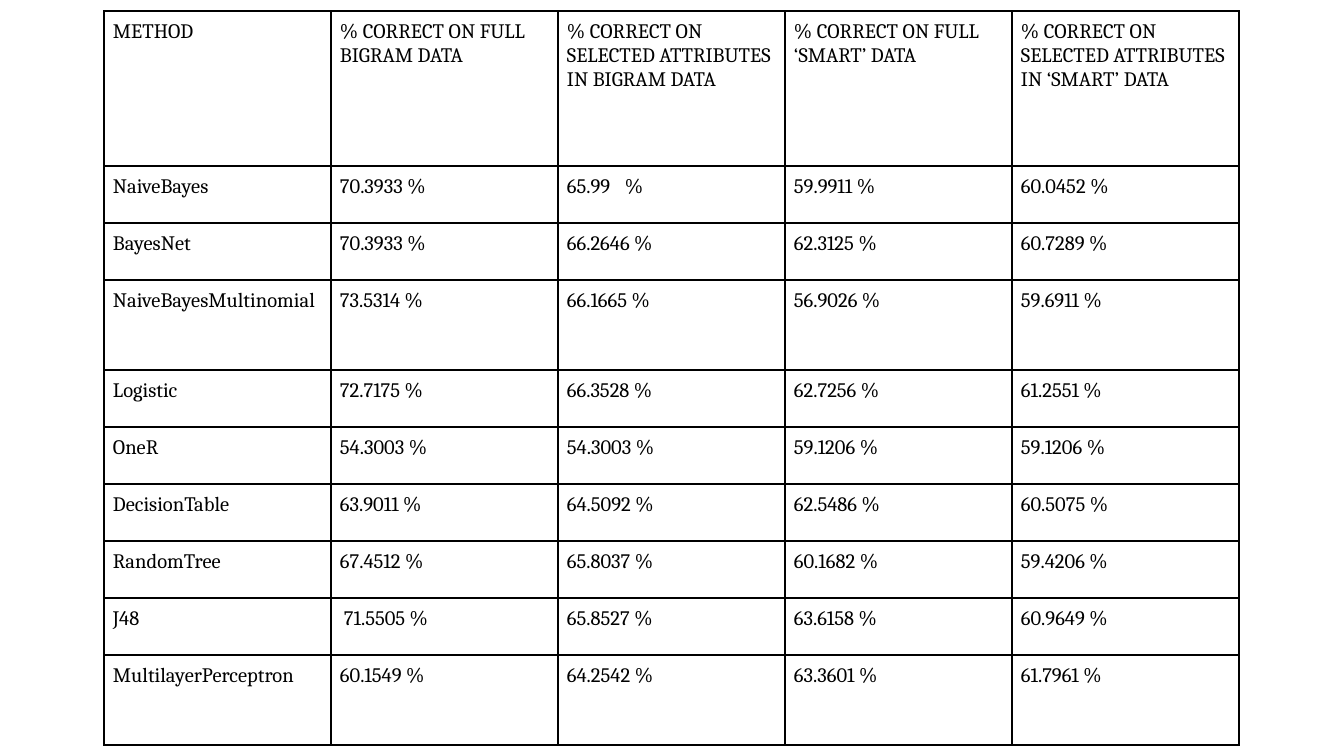
from dataclasses import dataclass

from lxml import etree
from pptx import Presentation
from pptx import util as u
from pptx.dml.color import RGBColor
from pptx.oxml.ns import qn

EMU_PER_PX = 914400 / 134.4
COLORS = {"ink": "000000", "paper": "FFFFFF"}
FONT = "Cambria"
TEXT_PT = 11
BORDER_PT = 1
LEFT, TOP = 104, 11
COLUMN_WIDTH = 227
INSET = 9
HEADER, SINGLE, TALL = 155, 57, 90


@dataclass(frozen=True)
class Row:
    labels: tuple[str, ...]
    height: int = SINGLE


ROWS = [
    Row(("METHOD", "% CORRECT ON FULL BIGRAM DATA",
         "% CORRECT ON SELECTED ATTRIBUTES IN BIGRAM DATA",
         "% CORRECT ON FULL ‘SMART’ DATA",
         "% CORRECT ON SELECTED ATTRIBUTES IN ‘SMART’ DATA"), HEADER),
    Row(("NaiveBayes", "70.3933 %", "65.99\t%", "59.9911 %", "60.0452 %")),
    Row(("BayesNet", "70.3933 %", "66.2646 %", "62.3125 %", "60.7289 %")),
    Row(("NaiveBayesMultinomial", "73.5314 %", "66.1665 %", "56.9026 %", "59.6911 %"), TALL),
    Row(("Logistic", "72.7175 %", "66.3528 %", "62.7256 %", "61.2551 %")),
    Row(("OneR", "54.3003 %", "54.3003 %", "59.1206 %", "59.1206 %")),
    Row(("DecisionTable", "63.9011 %", "64.5092 %", "62.5486 %", "60.5075 %")),
    Row(("RandomTree", "67.4512 %", "65.8037 %", "60.1682 %", "59.4206 %")),
    Row(("J48", "71.5505 %", "65.8527 %", "63.6158 %", "60.9649 %")),
    Row(("MultilayerPerceptron", "60.1549 %", "64.2542 %", "63.3601 %", "61.7961 %"), TALL),
]
PERCENT_TAB = 58
EXTRA_INDENT = {"71.5505 %": 4}


def px(length: int) -> u.Emu:
    return u.Emu(round(length * EMU_PER_PX))


def draw_borders(cell) -> None:
    properties = cell._tc.get_or_add_tcPr()
    for position, side in enumerate(("lnL", "lnR", "lnT", "lnB")):
        border = etree.Element(qn(f"a:{side}"), w=str(u.Pt(BORDER_PT)))
        fill = etree.SubElement(border, qn("a:solidFill"))
        etree.SubElement(fill, qn("a:srgbClr"), val=COLORS["ink"])
        properties.insert(position, border)


def fill_cell(cell, label: str) -> None:
    cell.fill.background()
    cell.margin_left = px(INSET + EXTRA_INDENT.get(label, 0))
    cell.margin_right = cell.margin_top = cell.margin_bottom = px(INSET)
    paragraph = cell.text_frame.paragraphs[0]
    if "\t" in label:
        tabs = etree.SubElement(paragraph._p.get_or_add_pPr(), qn("a:tabLst"))
        etree.SubElement(tabs, qn("a:tab"), pos=str(px(PERCENT_TAB)), algn="l")
    run = paragraph.add_run()
    run.text = label
    run.font.name = FONT
    run.font.size = u.Pt(TEXT_PT)
    run.font.bold = False
    run.font.color.rgb = RGBColor.from_string(COLORS["ink"])
    draw_borders(cell)


def draw_results(slide, rows: list[Row]) -> None:
    column_count = len(rows[0].labels)
    results = slide.shapes.add_table(
        len(rows), column_count, px(LEFT), px(TOP),
        px(COLUMN_WIDTH * column_count), px(sum(row.height for row in rows)),
    ).table
    results.first_row = results.horz_banding = False
    for column in results.columns:
        column.width = px(COLUMN_WIDTH)
    for row_index, row in enumerate(rows):
        results.rows[row_index].height = px(row.height)
        for column_index, label in enumerate(row.labels):
            fill_cell(results.cell(row_index, column_index), label)


def main() -> None:
    deck = Presentation()
    deck.slide_width, deck.slide_height = px(1344), px(756)
    slide = deck.slides.add_slide(deck.slide_layouts[6])
    slide.background.fill.solid()
    slide.background.fill.fore_color.rgb = RGBColor.from_string(COLORS["paper"])
    draw_results(slide, ROWS)
    deck.save("out.pptx")


if __name__ == "__main__":
    main()
